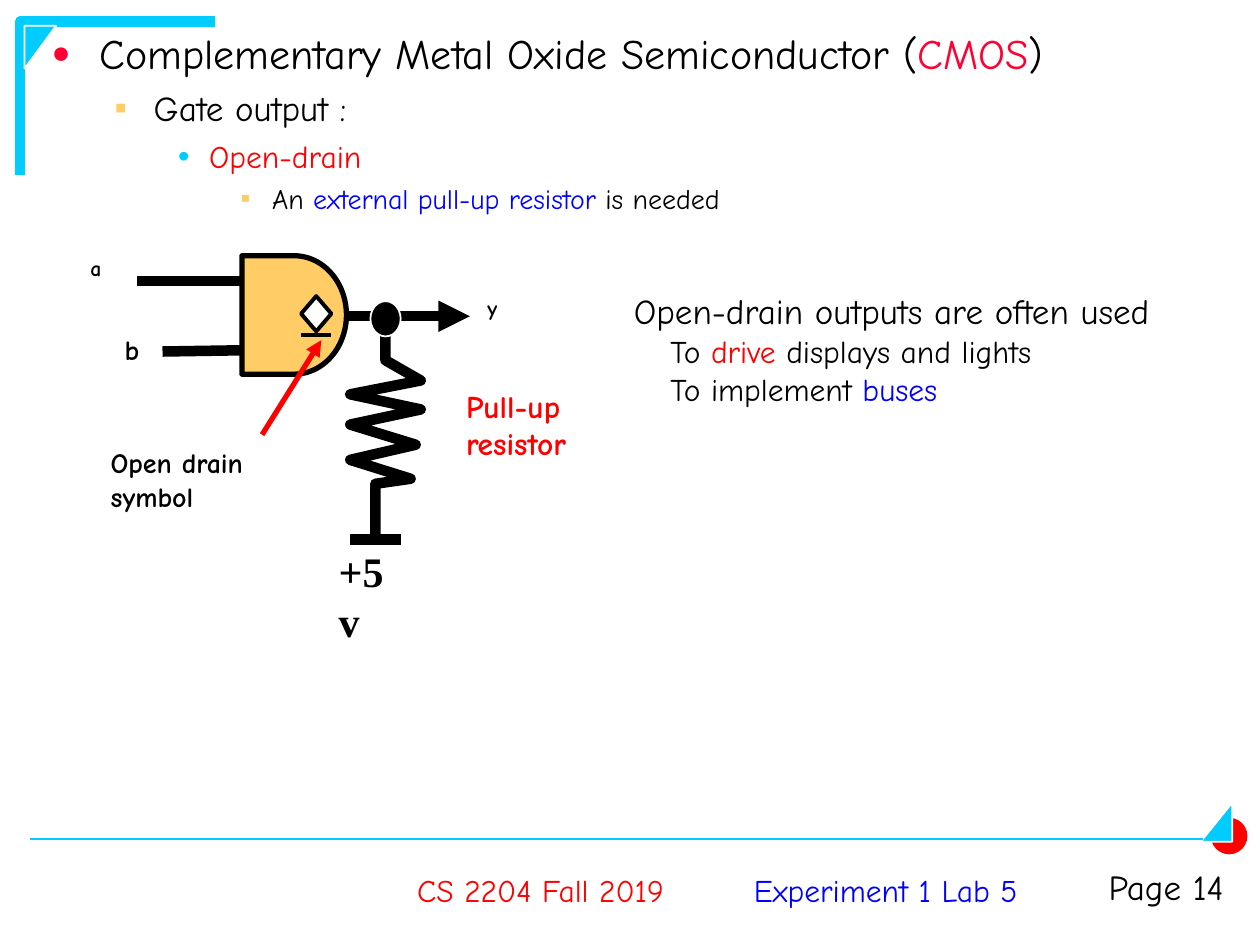
from dataclasses import dataclass
from typing import NamedTuple, Optional

from lxml import etree
from pptx import Presentation
from pptx.dml.color import RGBColor
from pptx.enum.shapes import MSO_CONNECTOR, MSO_SHAPE
from pptx.enum.text import MSO_ANCHOR, MSO_AUTO_SIZE, PP_ALIGN
from pptx.oxml.ns import qn
from pptx.util import Inches, Pt

LEFT, CENTER, RIGHT = PP_ALIGN.LEFT, PP_ALIGN.CENTER, PP_ALIGN.RIGHT
TOP, MIDDLE = MSO_ANCHOR.TOP, MSO_ANCHOR.MIDDLE
STRAIGHT = MSO_CONNECTOR.STRAIGHT
TRIANGLE, OVAL = MSO_SHAPE.RIGHT_TRIANGLE, MSO_SHAPE.OVAL
GATE, DIAMOND = MSO_SHAPE.FLOWCHART_DELAY, MSO_SHAPE.DIAMOND

COLUMNS, ROWS = 100, 75  # square cells over the whole slide
SLIDE_WIDTH, SLIDE_HEIGHT = Inches(10), Inches(7.5)
CELL = SLIDE_WIDTH // COLUMNS


@dataclass(frozen=True)
class Theme:
    ink: str = "000000"
    paper: str = "FFFFFF"
    red: str = "FF0000"
    crimson: str = "FF0033"
    blue: str = "0000FF"
    cyan: str = "00CCFF"
    amber: str = "FFCC66"
    font: str = "Comic Neue"
    serif: str = "Times New Roman"
    heading: float = 24
    large: float = 20
    medium: float = 18
    small: float = 16
    tiny: float = 12.4
    wire: float = 6
    hairline: float = 1


THEME = Theme()


class Span(NamedTuple):
    text: str
    color: str = THEME.ink


class Bullet(NamedTuple):
    char: str
    color: str
    percent: int = 100


class Line(NamedTuple):
    """One paragraph; margin and hanging are in cells, before in points."""
    spans: list[Span]
    size: float
    level: int = 0
    margin: float = 0
    hanging: float = 0
    before: float = 0
    spacing: float = 1.0
    bullet: Optional[Bullet] = None


class Label(NamedTuple):
    frame: tuple
    lines: list[str]
    size: float
    color: str = THEME.ink
    bold: bool = False
    align: PP_ALIGN = LEFT
    anchor: MSO_ANCHOR = TOP
    wrap: bool = True
    spacing: float = 1.0
    font: str = THEME.font


class Wire(NamedTuple):
    start: tuple
    end: tuple
    width: float = THEME.wire
    color: str = THEME.ink
    arrow: bool = False


class Figure(NamedTuple):
    kind: MSO_SHAPE
    frame: tuple
    fill: str
    line: Optional[str] = None
    width: float = THEME.hairline
    rotation: float = 0


def cells(*values: float) -> list[int]:
    return [round(value * CELL) for value in values]


def rgb(color: str) -> RGBColor:
    return RGBColor.from_string(color)


def draw_figure(page, figure: Figure) -> None:
    shape = page.shapes.add_shape(figure.kind, *cells(*figure.frame))
    shape.shadow.inherit = False
    shape.rotation = figure.rotation
    shape.fill.solid()
    shape.fill.fore_color.rgb = rgb(figure.fill)
    if figure.line:
        shape.line.color.rgb = rgb(figure.line)
        shape.line.width = Pt(figure.width)
    else:
        shape.line.fill.background()


def draw_wire(page, wire: Wire) -> None:
    connector = page.shapes.add_connector(STRAIGHT, *cells(*wire.start, *wire.end))
    connector.line.color.rgb = rgb(wire.color)
    connector.line.width = Pt(wire.width)
    if wire.arrow:
        etree.SubElement(connector.line._get_or_add_ln(), qn("a:tailEnd"), type="triangle")
    etree.SubElement(connector._element.spPr, qn("a:effectLst"))


def draw_outline(page, points: list[tuple], color: str, width: float) -> None:
    """Draw an open, unfilled polyline."""
    corners = [tuple(cells(*point)) for point in points]
    builder = page.shapes.build_freeform(*corners[0], scale=1.0)
    builder.add_line_segments(corners[1:], close=False)
    shape = builder.convert_to_shape()
    shape.shadow.inherit = False
    shape.fill.background()
    shape.line.color.rgb = rgb(color)
    shape.line.width = Pt(width)


def draw_label(page, label: Label) -> None:
    frame = page.shapes.add_textbox(*cells(*label.frame)).text_frame
    frame.word_wrap = label.wrap
    frame.vertical_anchor = label.anchor
    frame.text = "\n".join(label.lines)
    for para in frame.paragraphs:
        para.alignment = label.align
        para.line_spacing = label.spacing
        font = para.runs[0].font
        font.name, font.size, font.bold = label.font, Pt(label.size), label.bold
        font.color.rgb = rgb(label.color)


def set_bullet(para, line: Line) -> None:
    properties = para._p.get_or_add_pPr()
    margin, hanging = cells(line.margin, line.hanging)
    properties.set("marL", str(margin))
    properties.set("indent", str(-hanging))
    if line.bullet is None:
        etree.SubElement(properties, qn("a:buNone"))
        return
    color = etree.SubElement(properties, qn("a:buClr"))
    etree.SubElement(color, qn("a:srgbClr"), val=line.bullet.color)
    etree.SubElement(properties, qn("a:buSzPct"), val=str(line.bullet.percent * 1000))
    etree.SubElement(properties, qn("a:buChar"), char=line.bullet.char)


def fill_list(holder, frame: tuple, inset: float, lines: list[Line]) -> None:
    holder.left, holder.top, holder.width, holder.height = cells(*frame)
    text_frame = holder.text_frame
    text_frame.auto_size = MSO_AUTO_SIZE.NONE
    text_frame.margin_left, text_frame.margin_right = cells(inset, inset)
    for index, line in enumerate(lines):
        para = text_frame.add_paragraph() if index else text_frame.paragraphs[0]
        para.level = line.level
        set_bullet(para, line)
        para.space_before = Pt(line.before)
        para.line_spacing = line.spacing
        for span in line.spans:
            run = para.add_run()
            run.text = span.text
            run.font.name, run.font.size = THEME.font, Pt(line.size)
            run.font.color.rgb = rgb(span.color)


SQUARE = Bullet("▪", THEME.amber)
OUTLINE = [
    Line([Span("Complementary Metal Oxide Semiconductor ("), Span("CMOS", THEME.crimson), Span(")")],
         THEME.heading, 0, 3.8, 3.8, 0, 0.9, Bullet("●", THEME.crimson, 75)),
    Line([Span("Gate output :")], THEME.large, 1, 8.1, 3.1, 5, bullet=SQUARE),
    Line([Span("Open-drain", THEME.red)], THEME.medium, 2, 12.5, 2.5, 4.5,
         bullet=Bullet("●", THEME.cyan, 65)),
    Line([Span("An "), Span("external pull-up resistor", THEME.blue), Span(" is needed")],
         THEME.small, 3, 17.5, 2.5, 4, bullet=SQUARE),
]
USES = [
    Line([Span("Open-drain outputs are often used")], THEME.large, 0, 2.9),
    Line([Span("To "), Span("drive", THEME.red), Span(" displays and lights")], THEME.medium, 1, 5.8),
    Line([Span("To implement "), Span("buses", THEME.blue)], THEME.medium, 1, 5.8),
]
CORNER = [(1.6, 13.9), (1.6, 1.7), (17.1, 1.7)]
CORNER_EDGE = [(97.8, 64.6), (97.8, 66.8), (96.3, 66.8)]
RESISTOR = [(30.6, 25.4), (30.6, 28.6), (33.4, 30.2), (27.8, 31.3), (33.4, 32.5), (27.8, 33.7),
            (33, 35.3), (27.8, 36.5), (32.6, 38), (29.8, 38.4), (29.8, 42.4)]
DECORATION = [
    Figure(TRIANGLE, (1.5, 2.5, 3.4, 2.5), THEME.cyan, THEME.paper, rotation=90),
    Figure(OVAL, (96.1, 64.9, 2.9, 2.9), THEME.red),
    Figure(TRIANGLE, (95, 64, 3.1, 2.5), THEME.cyan, THEME.paper, rotation=270),
]
WIRES = [
    Wire((12.9, 27.9), (19.2, 27.8)),
    Wire((10.9, 22.3), (19.2, 22.3)),
    Wire((27.5, 25.1), (37.3, 25.1), arrow=True),
    Wire((20.8, 34.5), (25.5, 27), 3, THEME.red, True),
    Wire((23.9, 26.6), (26.3, 26.6), 2.25),
    Wire((27.8, 42.8), (31.8, 42.8)),
]
LABELS = [
    Label((57.5, 67.4, 25.6, 6.4), ["Experiment 1 Lab 5"], THEME.medium, THEME.blue,
          align=CENTER, anchor=MIDDLE, wrap=False),
    Label((29.9, 67.4, 26, 6.4), ["CS 2204 Fall 2019"], THEME.medium, THEME.red,
          align=CENTER, anchor=MIDDLE, wrap=False),
    Label((83.5, 68.2, 14.6, 5.6), ["Page 14"], THEME.large, align=RIGHT),
    Label((6.2, 20.3, 4, 2.5), ["a"], THEME.tiny, bold=True, spacing=0.7),
    Label((8.9, 26.4, 5, 3.3), ["b"], THEME.small, bold=True, spacing=0.8),
    Label((37.7, 23.5, 4, 2.5), ["y"], THEME.tiny, bold=True, spacing=0.7),
    Label((7.8, 34.9, 16.1, 6.4), ["Open drain symbol"], THEME.small, bold=True),
    Label((25.9, 42.8, 8, 5), ["+5 v"], THEME.heading, bold=True, wrap=False, font=THEME.serif),
    Label((36, 30.2, 10.1, 7), ["Pull-up", "resistor"], THEME.medium, THEME.red, True, wrap=False),
]


def main() -> None:
    deck = Presentation()
    deck.slide_width, deck.slide_height = SLIDE_WIDTH, SLIDE_HEIGHT
    page = deck.slides.add_slide(deck.slide_layouts.get_by_name("Two Content"))
    title, outline, uses = page.placeholders
    title._element.getparent().remove(title._element)
    fill_list(outline, (2.1, 2.1, 95.8, 64.6), 2, OUTLINE)
    fill_list(uses, (46.4, 22.5, 49.7, 10.4), 1, USES)

    draw_outline(page, CORNER, THEME.cyan, THEME.wire)
    for figure in DECORATION:
        draw_figure(page, figure)
    draw_outline(page, CORNER_EDGE, THEME.paper, 0.75)
    draw_wire(page, Wire((2.4, 66.6), (95.5, 66.6), 1.5, THEME.cyan))

    draw_figure(page, Figure(GATE, (19.2, 20.3, 8.3, 9.4), THEME.amber, THEME.ink, 3))
    for wire in WIRES:
        draw_wire(page, wire)
    draw_figure(page, Figure(DIAMOND, (23.9, 23.5, 2.4, 2.8), THEME.paper, THEME.ink, 2.25))
    draw_outline(page, RESISTOR, THEME.ink, THEME.wire)
    draw_figure(page, Figure(OVAL, (29.4, 23.9, 2.4, 2.8), THEME.ink, THEME.paper))
    for label in LABELS:
        draw_label(page, label)
    deck.save("out.pptx")


if __name__ == "__main__":
    main()
